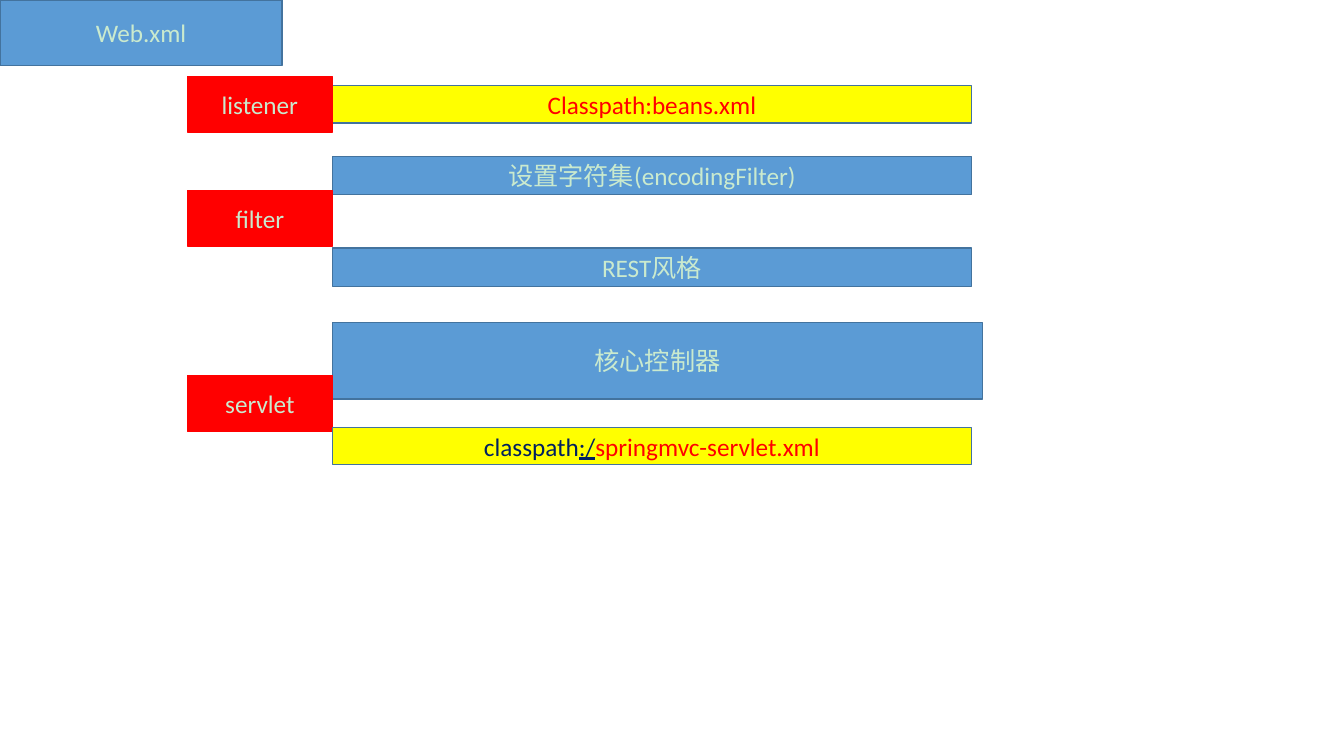
"""Draw the parts of a Web.xml file as labelled boxes."""
import dataclasses

import pptx
import pptx.dml.color
import pptx.enum.shapes
import pptx.enum.text
import pptx.shapes.autoshape
import pptx.slide
import pptx.util

Cm = pptx.util.Cm
RGBColor = pptx.dml.color.RGBColor

BLUE = RGBColor(0x5B, 0x9B, 0xD5)
EDGE = RGBColor(0x43, 0x73, 0x9E)
RED = RGBColor(0xFF, 0x00, 0x00)
YELLOW = RGBColor(0xFF, 0xFF, 0x00)
MINT = RGBColor(0xCA, 0xEA, 0xCE)
NAVY = RGBColor(0x00, 0x20, 0x60)


@dataclasses.dataclass(frozen=True)
class Run:
    """A piece of text with its colour."""
    text: str
    color: RGBColor = MINT
    under: bool = False


@dataclasses.dataclass(frozen=True)
class Box:
    """A filled rectangle, measured in centimetres."""
    top: float
    runs: tuple[Run, ...]
    left: float = 8.38
    width: float = 16.1
    height: float = 0.97
    fill: RGBColor = BLUE
    edge: RGBColor = EDGE


def bar(top: float, *runs: Run) -> Box:
    """Describe a yellow bar that names a config file."""
    return Box(top, runs, height=0.94, fill=YELLOW)


def tag(top: float, text: str) -> Box:
    """Describe a red tag that names a kind of element."""
    return Box(top, (Run(text),), left=4.72, width=3.66, height=1.4, fill=RED, edge=RED)


def write(shape: pptx.shapes.autoshape.Shape, text: str, *, color: RGBColor,
          under: bool = False, size: float = 18, font: str = "Calibri") -> None:
    """Add a formatted run to the centred line of a shape."""
    line = shape.text_frame.paragraphs[0]
    line.alignment = pptx.enum.text.PP_ALIGN.CENTER
    run = line.add_run()
    run.text = text
    run.font.name = font
    run.font.size = pptx.util.Pt(size)
    run.font.color.rgb = color
    run.font.underline = under


def draw(slide: pptx.slide.Slide, box: Box) -> None:
    """Draw a box and its text."""
    shape = slide.shapes.add_shape(
        pptx.enum.shapes.MSO_SHAPE.RECTANGLE,
        Cm(box.left), Cm(box.top), Cm(box.width), Cm(box.height))
    shape.shadow.inherit = False
    shape.fill.solid()
    shape.fill.fore_color.rgb = box.fill
    shape.line.color.rgb = box.edge
    shape.line.width = pptx.util.Pt(1)
    shape.text_frame.vertical_anchor = pptx.enum.text.MSO_ANCHOR.MIDDLE
    for run in box.runs:
        write(shape, run.text, color=run.color, under=run.under)


BOXES = (
    Box(0, (Run("Web.xml"),), left=0, width=7.11, height=1.65),
    bar(2.16, Run("Classpath:beans.xml", RED)),
    Box(3.94, (Run("设置字符集(encodingFilter)"),)),
    tag(4.8, "filter"),
    Box(6.25, (Run("REST风格"),)),
    Box(8.13, (Run("核心控制器"),), width=16.38, height=1.93),
    tag(9.47, "servlet"),
    tag(1.93, "listener"),
    bar(10.77, Run("classpath", NAVY), Run(":/", NAVY, under=True),
        Run("springmvc-servlet.xml", RED)),
)


def main() -> None:
    """Build and save the deck."""
    deck = pptx.Presentation()
    deck.slide_width, deck.slide_height = Cm(33.87), Cm(19.05)
    slide = deck.slides.add_slide(deck.slide_layouts[6])
    for box in BOXES:
        draw(slide, box)
    deck.save("out.pptx")


main()
